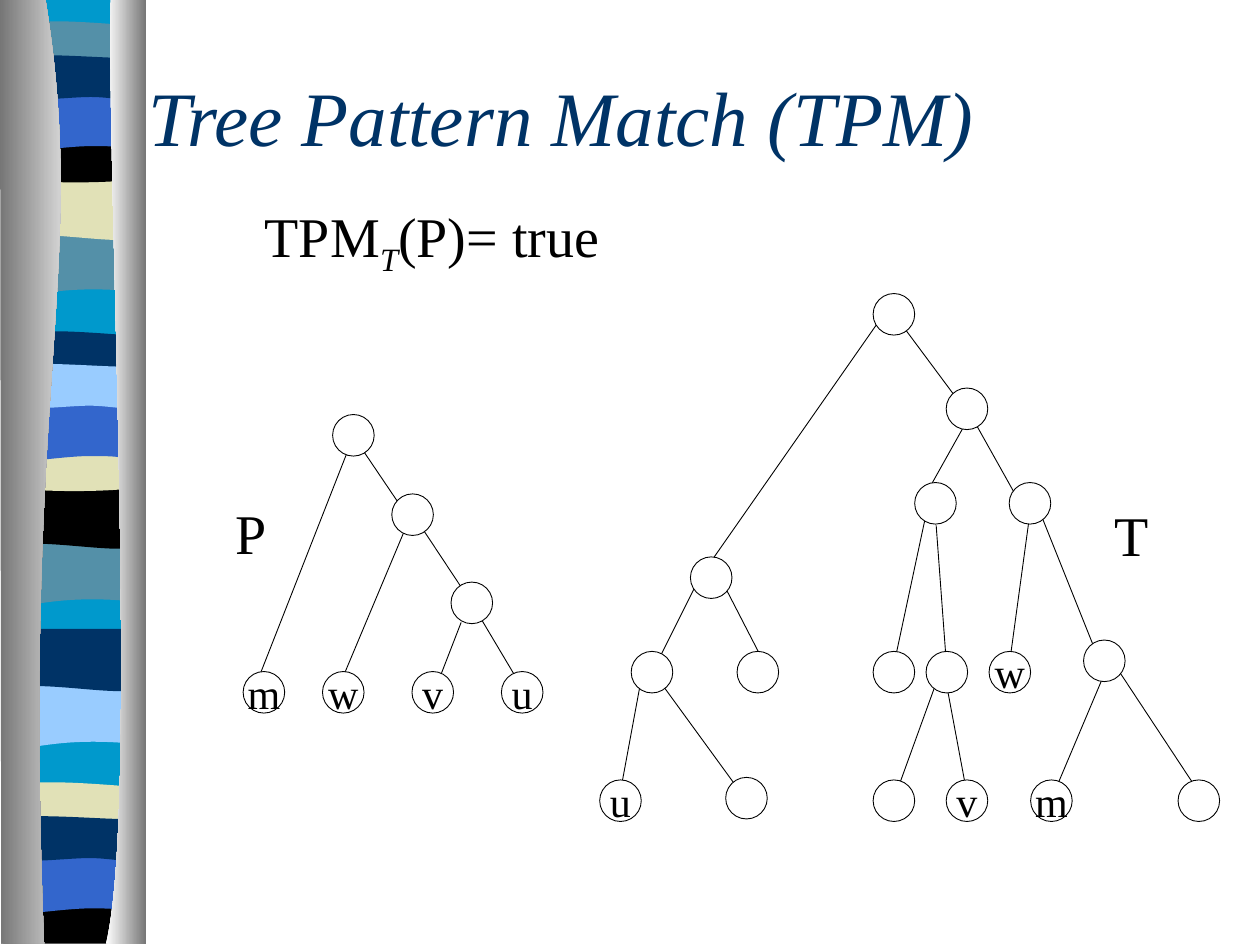
from pptx import Presentation
from pptx import util as u
from pptx.dml.color import RGBColor
from pptx.enum import shapes, text
from pptx.oxml.ns import qn
from lxml import etree

WHITE = RGBColor(0xFF, 0xFF, 0xFF)
BLACK = RGBColor(0, 0, 0)
NAVY = RGBColor(0x00, 0x33, 0x66)
BLUE = RGBColor(0x33, 0x66, 0xCC)
CYAN = RGBColor(0x00, 0x99, 0xCC)
SKY = RGBColor(0x99, 0xCC, 0xFF)
TEAL = RGBColor(0x54, 0x90, 0xA8)
SAND = RGBColor(0xE1, 0xE1, 0xB7)
GREY = RGBColor(0x76, 0x76, 0x76)

# Outlines: a pair is a line to that point, six numbers are a Bezier curve.
PLAIN = [(1.08, 0), (1.08, 7.48), (0, 7.48), (0, 0), (1.08, 0)]
DIP = [(1.08, 0), (1.08, 0, 1.08, 0.47, 1.08, 0.47),
       (0.33, 0.39, 0.18, 0.55, 0, 0.47), (0, 0), (1.08, 0)]
SWELL = [(1.08, 0), (1.08, 0.47), (0.9, 0.55, 0.33, 0.41, 0, 0.47),
         (0, 0), (1.08, 0)]
LENS = [(1.08, 0), (1.08, 0.24), (0.9, 0.28, 0.18, 0.28, 0, 0.24), (0, 0),
        (0.06, -0.05, 0.23, -0.04, 0.41, -0.04),
        (0.59, -0.04, 0.94, -0.01, 1.08, 0)]
BOWL = [(1.08, 0), (1.08, 0.33), (0.9, 0.38, 0.18, 0.38, 0, 0.33), (0, 0),
        (0.66, 0.05, 0.85, 0, 1.08, 0)]
BASE = [(1.08, 0), (1.08, 0.37), (0.01, 0.37), (0, 0),
        (0.66, 0.05, 0.85, 0, 1.08, 0)]
ARCH = [(1.08, 0), (1.08, 0, 1.08, 0.47, 1.08, 0.47),
        (0.91, 0.42, 0.84, 0.42, 0.66, 0.42),
        (0.48, 0.42, 0.16, 0.47, 0, 0.47), (0, 0), (1.08, 0)]
WAVE = [(1.08, 0), (1.08, 0.31), (1.01, 0.36, 0.84, 0.31, 0.66, 0.31),
        (0.48, 0.31, 0.11, 0.36, 0, 0.31), (0, 0),
        (0.15, -0.05, 0.73, 0, 0.91, 0), (1.1, 0, 1.04, 0, 1.08, 0)]
LEFT_PILLAR = [(0.36, 0), (0.71, 2.17, 0.17, 2.97, 0.35, 7.5),
               (0.01, 7.5), (0, 0), (0.36, 0)]
RIGHT_PILLAR = [(0.88, 0), (0.84, 1.26, 1.11, 6.47, 0.84, 7.5),
                (1.16, 7.5), (1.16, 0.01), (0.88, 0)]

BANDS = [  # outline, left, top, colour
    (PLAIN, 0.06, -0.01, CYAN), (DIP, 0.06, 1.85, TEAL),
    (SWELL, 0.06, 1.41, SAND), (LENS, 0.06, 0.21, TEAL),
    (BOWL, 0.06, 1.08, BLACK), (ARCH, 0.06, 0.74, BLUE),
    (WAVE, 0.06, 0.46, NAVY), (DIP, 0.05, 4.31, TEAL),
    (SWELL, 0.05, 3.86, BLACK), (LENS, 0.05, 2.67, NAVY),
    (BOWL, 0.05, 3.53, SAND), (ARCH, 0.05, 3.2, BLUE),
    (WAVE, 0.05, 2.91, SKY), (DIP, 0.06, 5.44, SKY),
    (SWELL, 0.06, 4.99, NAVY), (LENS, 0.05, 6.25, SAND),
    (BASE, 0.05, 7.12, BLACK), (ARCH, 0.05, 6.79, BLUE),
    (WAVE, 0.05, 6.5, NAVY),
]

TARGET_EDGES = [
    (7.1, 2.5, 7.68, 3.28), (7.01, 2.5, 5.62, 4.49), (7.68, 3.25, 8.1, 4),
    (7.68, 3.33, 7.35, 3.92), (5.51, 4.67, 5.18, 5.33),
    (5.1, 5.33, 4.93, 6.25), (7.43, 4.17, 7.51, 5.25),
    (8.18, 4.03, 8.01, 5.28), (8.26, 4.08, 8.76, 5.33),
    (8.76, 5.36, 8.35, 6.33), (7.51, 5.42, 7.68, 6.33),
    (8.85, 5.28, 9.51, 6.28), (5.76, 4.67, 6.1, 5.33),
    (5.18, 5.33, 5.85, 6.25), (7.35, 4.08, 7.1, 5.25),
    (7.43, 5.42, 7.1, 6.33),
]
TARGET_NODES = [  # left, top, label
    (6.93, 2.33, ""), (7.51, 3.08, ""), (7.26, 3.83, ""), (8.01, 3.83, ""),
    (5.48, 4.42, ""), (5.01, 5.17, ""), (5.85, 5.17, ""), (6.93, 5.17, ""),
    (7.35, 5.17, ""), (7.85, 5.17, "w"), (8.6, 5.08, ""), (4.76, 6.19, "u"),
    (5.76, 6.17, ""), (6.93, 6.19, ""), (7.51, 6.19, "v"),
    (8.18, 6.19, "m"), (9.35, 6.19, ""),
]
PATTERN_EDGES = [
    (2.79, 3.44, 3.27, 4.15), (3.27, 4.07, 3.74, 4.78),
    (3.27, 4.07, 2.64, 5.57), (2.83, 3.4, 2.01, 5.49),
    (3.66, 4.94, 3.42, 5.56), (3.74, 4.78, 4.21, 5.57),
]
PATTERN_NODES = [
    (2.64, 3.29, ""), (3.11, 3.92, ""), (3.58, 4.62, ""), (1.93, 5.33, "m"),
    (2.56, 5.33, "w"), (3.27, 5.33, "v"), (3.98, 5.33, "u"),
]


def bend(shape, outline):
    """Merge each three line segments that stand for a curve into that curve."""
    segments = iter(list(shape._element.iter(qn("a:lnTo"))))
    for piece in outline[1:]:
        first = next(segments)
        if len(piece) == 6:
            first.tag = qn("a:cubicBezTo")
            for _ in range(2):
                other = next(segments)
                first.append(other[0])
                other.getparent().remove(other)


class TreeSlide:
    font = "Times New Roman"
    node_size = 0.33
    line_width = u.Pt(0.5)

    def __init__(self, deck):
        self.slide = deck.slides.add_slide(deck.slide_layouts[5])
        self.shapes = self.slide.shapes

    def add_run(self, para, words, size, color=BLACK, italic=False):
        span = para.add_run()
        span.text = words
        span.font.name, span.font.size = self.font, u.Pt(size)
        span.font.color.rgb, span.font.italic = color, italic
        return span

    def title(self, words):
        box = self.shapes.title
        box.left, box.top = u.Inches(1.08), u.Inches(0.58)
        box.width, box.height = u.Inches(8.67), u.Inches(0.67)
        box.text_frame.vertical_anchor = text.MSO_ANCHOR.MIDDLE
        para = box.text_frame.paragraphs[0]
        para.alignment = text.PP_ALIGN.LEFT
        self.add_run(para, words, 44, NAVY, italic=True)

    def outline(self, outline, left, top, *colors):
        """Draw a closed outline, with a left-to-right gradient for two colours."""
        points = [(u.Inches(left + piece[i]), u.Inches(top + piece[i + 1]))
                  for piece in outline for i in range(0, len(piece), 2)]
        builder = self.shapes.build_freeform(*points[0])
        builder.add_line_segments(points[1:], close=True)
        shape = builder.convert_to_shape()
        bend(shape, outline)
        shape.shadow.inherit = False
        shape.line.fill.background()
        if len(colors) == 1:
            shape.fill.solid()
            shape.fill.fore_color.rgb = colors[0]
        else:
            shape.fill.gradient()
            shape.fill.gradient_angle = 0
            for stop, color in zip(shape.fill.gradient_stops, colors):
                stop.color.rgb = color

    def edge(self, *ends):
        line = self.shapes.add_connector(
            shapes.MSO_CONNECTOR.STRAIGHT, *map(u.Inches, ends))
        line.line.color.rgb, line.line.width = BLACK, self.line_width
        etree.SubElement(line._element.spPr, qn("a:effectLst"))

    def node(self, left, top, label):
        size = u.Inches(self.node_size)
        circle = self.shapes.add_shape(
            shapes.MSO_SHAPE.OVAL, u.Inches(left), u.Inches(top), size, size)
        circle.shadow.inherit = False
        circle.fill.solid()
        circle.fill.fore_color.rgb = WHITE
        circle.line.color.rgb, circle.line.width = BLACK, self.line_width
        if label:
            frame = circle.text_frame
            frame.word_wrap = False
            frame.vertical_anchor = text.MSO_ANCHOR.MIDDLE
            frame.paragraphs[0].alignment = text.PP_ALIGN.CENTER
            self.add_run(frame.paragraphs[0], label, 24)

    def tree(self, edges, nodes):
        for ends in edges:
            self.edge(*ends)
        for node in nodes:
            self.node(*node)

    def caption(self, left, top, width, height, words, subscript="", rest=""):
        box = self.shapes.add_textbox(*map(u.Inches, (left, top, width, height)))
        frame = box.text_frame
        frame.word_wrap = False
        frame.auto_size = text.MSO_AUTO_SIZE.SHAPE_TO_FIT_TEXT
        para = frame.paragraphs[0]
        para.alignment = text.PP_ALIGN.CENTER
        self.add_run(para, words, 32)
        if subscript:
            span = self.add_run(para, subscript, 32, italic=True)
            span.font._element.set("baseline", "-25000")
            self.add_run(para, rest, 32)


def main():
    deck = Presentation()
    deck.slide_width, deck.slide_height = u.Inches(10), u.Inches(7.5)
    page = TreeSlide(deck)
    for band in BANDS:
        page.outline(*band)
    page.outline(LEFT_PILLAR, 0, -0.01, GREY, WHITE)
    page.outline(RIGHT_PILLAR, 0, -0.01, WHITE, GREY)
    page.title("Tree Pattern Match (TPM)")
    page.caption(1.98, 1.55, 2.9, 0.71, "TPM", "T", "(P)= true")
    page.tree(TARGET_EDGES, TARGET_NODES)
    page.tree(PATTERN_EDGES, PATTERN_NODES)
    page.caption(1.77, 3.91, 0.44, 0.64, "P")
    page.caption(8.75, 3.92, 0.47, 0.64, "T")
    deck.save("out.pptx")


if __name__ == "__main__":
    main()
